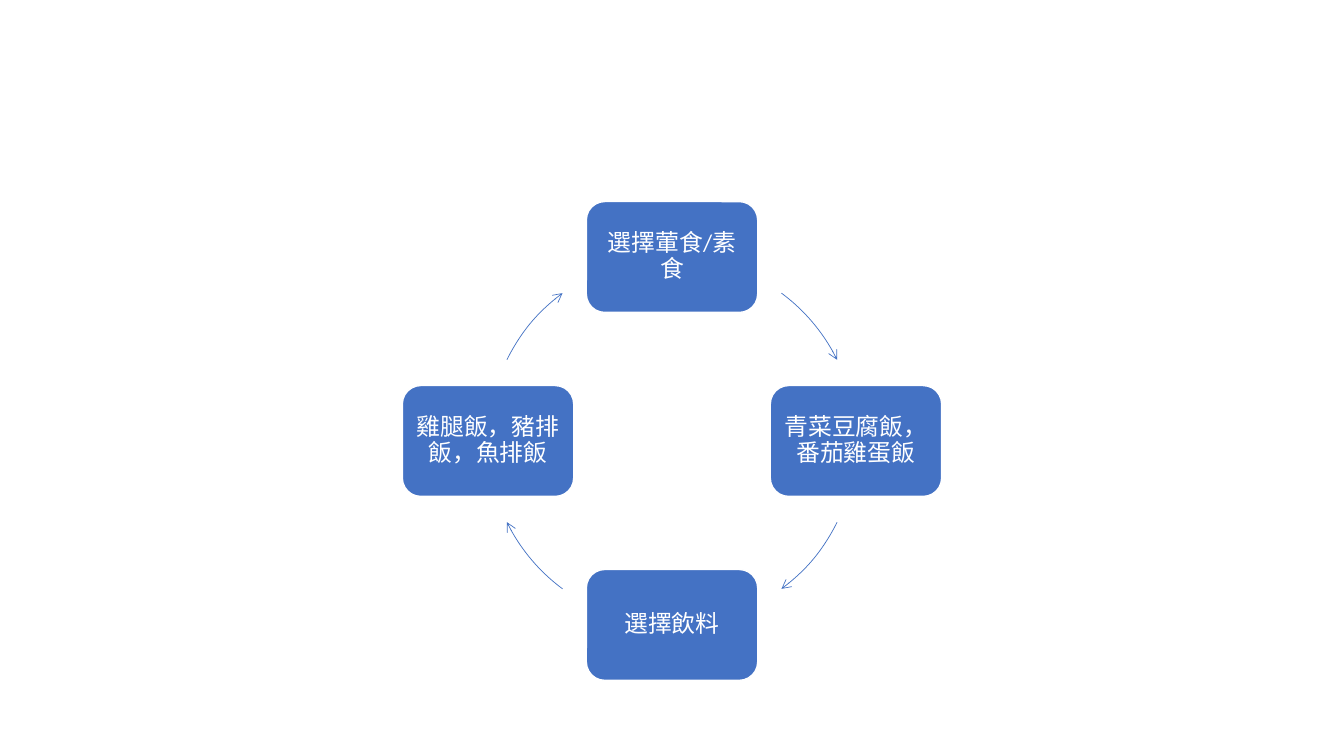
import math

from lxml import etree
from pptx import Presentation
from pptx import util as u
from pptx.dml.color import RGBColor
from pptx.enum import shapes, text
from pptx.oxml.ns import qn

COLS, ROWS = 80, 45                # square cells, six to the inch
CENTER_COL, CENTER_ROW = 40, 26.25
RADIUS = 10.95
STEPS = ["選擇葷食/素食", "青菜豆腐飯，番茄雞蛋飯", "選擇飲料", "雞腿飯，豬排飯，魚排飯"]


def rgb(value):
    return RGBColor.from_string(value)


def write(tf, content, size=17, font="Calibri", color="FFFFFF", spacing=0.9):
    p = tf.paragraphs[0]
    p.alignment = text.PP_ALIGN.CENTER
    p.line_spacing = spacing
    r = p.add_run()
    r.text = content
    r.font.size = u.Pt(size)
    r.font.name = font
    r.font.color.rgb = rgb(color)


class CycleSlide:
    blue, white = "4472C4", "FFFFFF"
    box_cols, box_rows = 10.2, 6.6
    inset = u.Inches(0.07)

    def __init__(self, prs):
        self.s = prs.slides.add_slide(prs.slide_layouts[6])
        self.col = prs.slide_width / COLS
        self.row = prs.slide_height / ROWS

    def shape(self, kind, col, row, cols, rows, line, width):
        """Preset shape centred on a grid point."""
        sp = self.s.shapes.add_shape(
            kind, round((col - cols / 2) * self.col),
            round((row - rows / 2) * self.row),
            round(cols * self.col), round(rows * self.row))
        sp.shadow.inherit = False
        sp.line.color.rgb = rgb(line)
        sp.line.width = u.Pt(width)
        return sp

    def box(self, degrees, content):
        a = math.radians(degrees)
        sp = self.shape(shapes.MSO_SHAPE.ROUNDED_RECTANGLE,
                        CENTER_COL + RADIUS * math.cos(a),
                        CENTER_ROW + RADIUS * math.sin(a),
                        self.box_cols, self.box_rows, self.white, 1)
        sp.fill.solid()
        sp.fill.fore_color.rgb = rgb(self.blue)
        tf = sp.text_frame
        tf.word_wrap = True
        tf.vertical_anchor = text.MSO_ANCHOR.MIDDLE
        tf.margin_left = tf.margin_right = self.inset
        tf.margin_top = tf.margin_bottom = self.inset
        write(tf, content)

    def arc_arrow(self, start, sweep=27.3):
        sp = self.shape(shapes.MSO_SHAPE.ARC, CENTER_COL, CENTER_ROW,
                        2 * RADIUS, 2 * RADIUS, self.blue, 0.5)
        sp.fill.background()
        # Adjustments count 100000ths, angles 60000ths of a degree
        for i, angle in enumerate((start, start + sweep)):
            sp.adjustments[i] = angle % 360 * 0.6
        ln = sp._element.spPr.find(qn("a:ln"))
        etree.SubElement(ln, qn("a:tailEnd"), type="arrow")


def main():
    prs = Presentation()
    prs.slide_width, prs.slide_height = u.Inches(13.33), u.Inches(7.5)
    cycle = CycleSlide(prs)

    # Boxes clockwise from the top, each followed by its arrow
    for i, step in enumerate(STEPS):
        angle = 90 * i - 90
        cycle.box(angle, step)
        # Arrows leave wide gaps beside the top and bottom boxes
        cycle.arc_arrow(angle + (26.2 if i % 2 else 36.5))

    prs.save("out.pptx")


if __name__ == "__main__":
    main()
